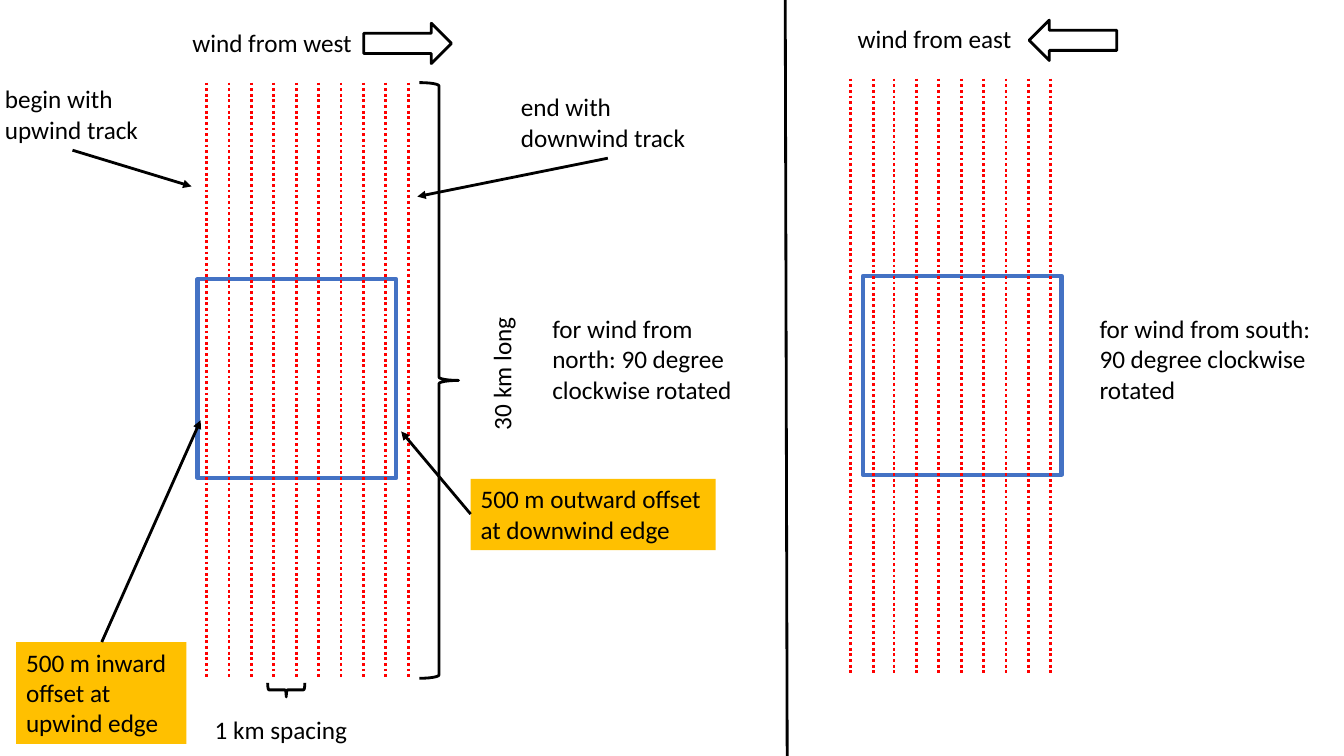
"""Build a slide of flight track patterns for wind from west and from east."""
import pptx
import pptx.util
import pptx.dml.color
import pptx.enum.dml
import pptx.enum.shapes
import pptx.enum.text
import pptx.oxml

Pt = pptx.util.Pt
SHAPE = pptx.enum.shapes.MSO_SHAPE
COLORS = {"black": "000000", "track": "FF0000", "area": "4472C4", "note": "FFC000"}
RGB = {k: pptx.dml.color.RGBColor.from_string(v) for k, v in COLORS.items()}
NS = 'xmlns:a="http://schemas.openxmlformats.org/drawingml/2006/main"'

prs = pptx.Presentation()
prs.slide_width, prs.slide_height = Pt(960), Pt(540)
s = prs.slides.add_slide(prs.slide_layouts[6])


def add_line(x1, y1, x2, y2, color="black", dash=None, arrow=False):
    sp = s.shapes.add_connector(
        pptx.enum.shapes.MSO_CONNECTOR.STRAIGHT, Pt(x1), Pt(y1), Pt(x2), Pt(y2))
    sp.line.color.rgb = RGB[color]
    for name, value in {"width": Pt(2), "dash_style": dash}.items():
        setattr(sp.line, name, value)
    if arrow:
        ln = sp.line.color._xFill.getparent()
        ln.append(pptx.oxml.parse_xml(f'<a:tailEnd {NS} type="triangle"/>'))
    sp._element.spPr.append(pptx.oxml.parse_xml(f"<a:effectLst {NS}/>"))


def add_outline(kind, x, y, w, h, rotation=0, color="black", width=2):
    sp = s.shapes.add_shape(kind, Pt(x), Pt(y), Pt(w), Pt(h))
    sp.shadow.inherit = False
    sp.rotation = rotation
    sp.fill.background()
    sp.line.color.rgb = RGB[color]
    sp.line.width = Pt(width)


west_tracks = [147.6 + 16 * i for i in range(10)]
east_tracks = [607.7, 624.2] + [638.6 + 16 * i for i in range(8)]
patterns = [
    (141.1, 199.4, west_tracks, 59, 484),
    (616.3, 197.1, east_tracks, 56.2, 481.7),
]
for left, top, tracks, start, end in patterns:
    add_outline(SHAPE.RECTANGLE, left, top, 142, 142, color="area", width=3)
    for x in tracks:
        add_line(x, start, x, end, "track", pptx.enum.dml.MSO_LINE.ROUND_DOT)

add_outline(SHAPE.RIGHT_BRACE, 199.4, 479.5, 10.1, 26.6, 90)
add_outline(SHAPE.RIGHT_BRACE, 299.5, 59, 28.1, 425.5)
add_outline(SHAPE.RIGHT_ARROW, 259.9, 16.6, 62.6, 28.8)
add_outline(SHAPE.RIGHT_ARROW, 735.1, 14.4, 62.6, 28.8, 180)

labels = [
    ("30 km long", 301, 242.6, 114.5, 29, 270, None),
    ("1 km spacing", 146.2, 506.9, 114.5, 29, 0, None),
    ("500 m inward offset at upwind edge", 11.5, 458.6, 121.7, 72.7, 0, "note"),
    ("500 m outward offset at downwind edge", 336.2, 342, 175, 51, 0, "note"),
    ("wind from west", 130.3, 15.8, 135.4, 29, 0, None),
    ("wind from east", 605.5, 13, 135.4, 29, 0, None),
    ("for wind from north: 90 degree clockwise rotated", 387.4, 220.3, 161.3, 72.7, 0, None),
    ("for wind from south: 90 degree clockwise rotated", 778.3, 220.3, 164.9, 72.7, 0, None),
    ("begin with upwind track", -3.6, 56.2, 111.6, 51, 0, None),
    ("end with downwind track", 365, 61.9, 139, 51, 0, None),
]
for text, x, y, w, h, rotation, fill in labels:
    sp = s.shapes.add_textbox(Pt(x), Pt(y), Pt(w), Pt(h))
    sp.rotation = rotation
    if fill:
        sp.fill.solid()
        sp.fill.fore_color.rgb = RGB[fill]
    tf = sp.text_frame
    tf.word_wrap = True
    tf.auto_size = pptx.enum.text.MSO_AUTO_SIZE.SHAPE_TO_FIT_TEXT
    r = tf.paragraphs[0].add_run()
    r.text = text
    for name, value in {"name": "Calibri", "size": Pt(18)}.items():
        setattr(r.font, name, value)
    r.font.color.rgb = RGB["black"]

pointers = [
    (72.7, 458.6, 143.3, 300.2),
    (336.2, 367.2, 286.6, 308.2),
    (51.8, 107.3, 136.8, 133.2),
    (434.2, 113, 298.1, 140.4),
]
for ends in pointers:
    add_line(*ends, arrow=True)

add_line(560.9, 0, 562.3, 540)

prs.save("out.pptx")
